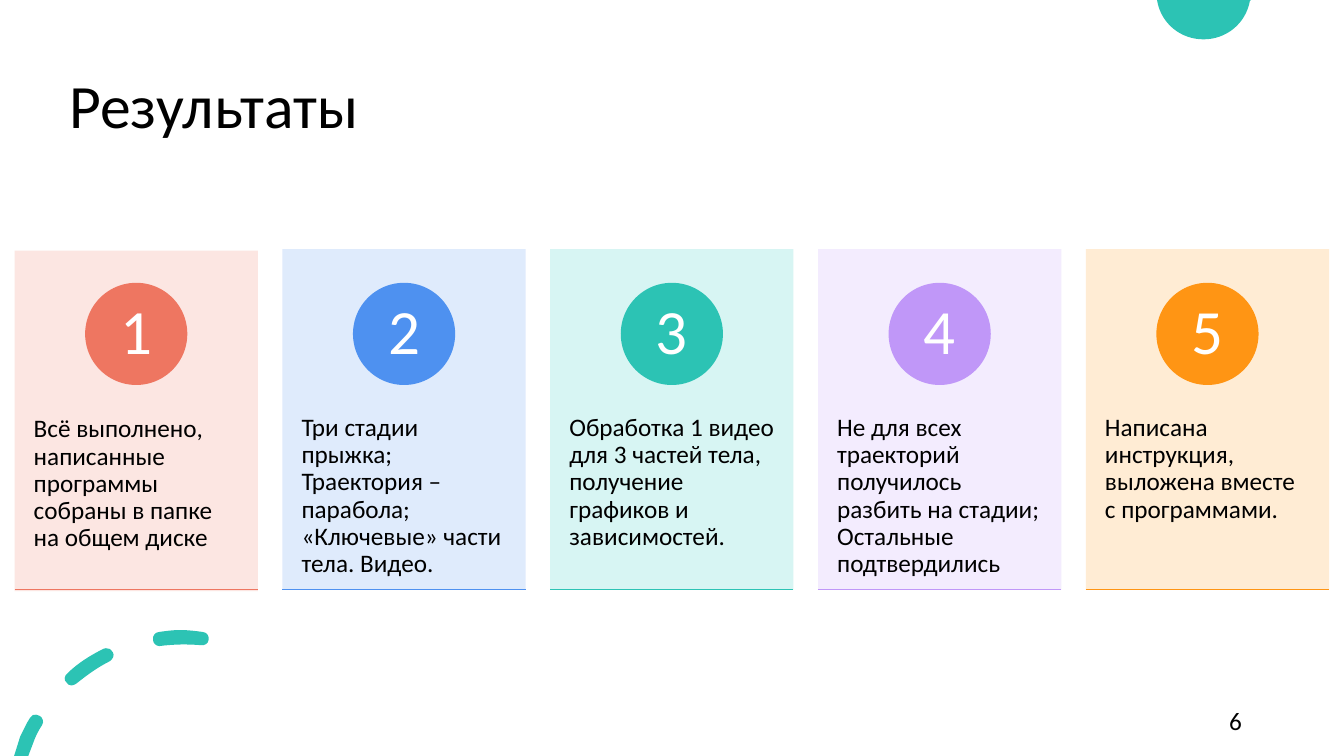
from dataclasses import dataclass
from typing import Any, NamedTuple

from lxml import etree
from pptx import Presentation
from pptx.dml.color import RGBColor
from pptx.enum.shapes import MSO_CONNECTOR, MSO_SHAPE
from pptx.enum.text import MSO_ANCHOR, PP_ALIGN
from pptx.oxml.ns import qn
from pptx.util import Pt

RECT, OVAL = MSO_SHAPE.RECTANGLE, MSO_SHAPE.OVAL
STRAIGHT = MSO_CONNECTOR.STRAIGHT
TOP, MIDDLE = MSO_ANCHOR.TOP, MSO_ANCHOR.MIDDLE
LEFT, CENTER, RIGHT = PP_ALIGN.LEFT, PP_ALIGN.CENTER, PP_ALIGN.RIGHT


@dataclass(frozen=True)
class Theme:
    font: str = "Calibri"
    ink: str = "000000"
    white: str = "FFFFFF"
    teal: str = "2CC3B4"
    title_size: float = 44
    number_size: float = 45
    body_size: float = 18


class Box(NamedTuple):
    x: float
    y: float
    w: float
    h: float


class Card(NamedTuple):
    text: str
    accent: str
    tint: str
    drop: float = 0  # downward shift of panel and text


THEME = Theme()

CARDS = [
    Card("Всё выполнено, написанные программы собраны в папке на общем диске",
         "EE7661", "FCE4DF", 1),
    Card("Три стадии прыжка; Траектория – парабола; «Ключевые» части тела. Видео.",
         "4E91F0", "DCE9FC"),
    Card("Обработка 1 видео для 3 частей тела, получение графиков и зависимостей.",
         THEME.teal, "D3F5F2"),
    Card("Не для всех траекторий получилось разбить на стадии; Остальные подтвердились",
         "C097F8", "F2EAFE"),
    Card("Написана инструкция, выложена вместе с программами.",
         "FF9514", "FFEAD0"),
]
CARD_X, CARD_Y, CARD_W, CARD_H, CARD_PITCH = 10.4, 178, 173.8, 243.2, 191.3
TEXT_Y, TEXT_H = 270.3, 146
DISC_Y, DISC_SIZE, NUMBER_SIZE = 202, 73, 52

# Outlines in points: a pair is a corner, six numbers are a Bezier curve
TOP_DISC = [[
    (826.6, 0), (893.5, 0), (892.8, 0.7),
    (889.9, 16.6, 876.2, 28.1, 859.7, 28.1),
    (843.1, 28.1, 829.4, 16.6, 826.6, 0.7),
]]
ARC_DASHES = [
    [(25.9, 510.5), (24.5, 509.8, 22.3, 511.2, 21.6, 512.6),
     (18.7, 517, 16.6, 522, 14.4, 526.3), (10.1, 540), (20.2, 540), (23.8, 530.6),
     (25.2, 526.3, 27.4, 522, 30.2, 517.7), (31.7, 515.5, 30.2, 511.9, 28.1, 511.2),
     (27.4, 510.5, 26.6, 510.5, 25.9, 510.5)],
    [(75.6, 463), (74.9, 463, 74.2, 463, 73.8, 463.5),
     (64.8, 468, 55.4, 473.8, 48.2, 481), (46.1, 482.4, 45.4, 486, 47.5, 487.4),
     (48.2, 488.9, 49.7, 489.6, 51.1, 489.6), (52.6, 489.6, 53.3, 488.9, 54.7, 488.2),
     (61.9, 482.4, 69.8, 476.6, 78.5, 472.3), (80.6, 470.9, 82.1, 468, 80.6, 465.8),
     (79.9, 463.7, 77.8, 463, 75.6, 463)],
    [(128.9, 450), (123.8, 450, 118.8, 450.7, 113.8, 451.4),
     (110.9, 451.4, 108.7, 454.3, 109.4, 457.2), (109.4, 459.4, 111.6, 461.5, 113.8, 461.5),
     (124.6, 460.1, 133.9, 460.1, 143.3, 460.8), (146.2, 461.5, 149, 459.4, 149, 457.2),
     (149.8, 454.3, 147.6, 451.4, 144.7, 451.4), (139.7, 450.7, 133.9, 450, 128.9, 450)],
]


def apply(target: Any, values: dict[str, Any]) -> None:
    for name, value in values.items():
        setattr(target, name, value)


def paint(s: Any, color: str) -> None:
    s.shadow.inherit = False
    s.fill.solid()
    s.fill.fore_color.rgb = RGBColor.from_string(color)
    s.line.fill.background()


def add_shape(slide: Any, kind: Any, box: Box, color: str, alpha: int = 100) -> None:
    s = slide.shapes.add_shape(kind, *map(Pt, box))
    paint(s, color)
    if alpha < 100:
        clr = s._element.spPr.find(qn("a:solidFill"))[0]
        etree.SubElement(clr, qn("a:alpha")).set("val", str(alpha * 1000))


def add_text(slide: Any, box: Box, text: str, size: float, color: str = THEME.ink,
             align: Any = LEFT, anchor: Any = MIDDLE, spacing: float = 0.9,
             inset: tuple[float, float] = (7.2, 3.6)) -> None:
    tf = slide.shapes.add_textbox(*map(Pt, box)).text_frame
    side, end = map(Pt, inset)
    apply(tf, {"word_wrap": True, "vertical_anchor": anchor, "margin_left": side,
               "margin_right": side, "margin_top": end, "margin_bottom": end})
    p = tf.paragraphs[0]
    apply(p, {"alignment": align, "line_spacing": spacing})
    r = p.add_run()
    r.text = text
    apply(r.font, {"name": THEME.font, "size": Pt(size)})
    r.font.color.rgb = RGBColor.from_string(color)


def part_points(part: tuple) -> list[tuple]:
    return [(Pt(x), Pt(y)) for x, y in zip(part[::2], part[1::2])]


def add_outlines(slide: Any, outlines: list[list[tuple]], color: str) -> None:
    builder = None
    for start, *parts in outlines:
        origin = part_points(start)[0]
        if builder is None:
            builder = slide.shapes.build_freeform(*origin)
        else:
            builder.move_to(*origin)
        builder.add_line_segments([pt for part in parts for pt in part_points(part)])
    s = builder.convert_to_shape()
    paint(s, color)
    # Merge each three control points into one curve
    lines = iter(list(s._element.iter(qn("a:lnTo"))))
    for _, *parts in outlines:
        for part in parts:
            line = next(lines)
            if len(part) == 6:
                curve = etree.Element(qn("a:cubicBezTo"))
                line.addprevious(curve)
                for piece in (line, next(lines), next(lines)):
                    curve.append(piece[0])
                    piece.getparent().remove(piece)


def add_rule(slide: Any, x: float, y: float, width: float, color: str) -> None:
    s = slide.shapes.add_connector(STRAIGHT, Pt(x), Pt(y), Pt(x + width), Pt(y))
    s.line.width = Pt(1)
    s.line.color.rgb = RGBColor.from_string(color)
    etree.SubElement(s._element.spPr, qn("a:effectLst"))


def add_card(slide: Any, index: int, card: Card) -> None:
    x = CARD_X + index * CARD_PITCH
    add_shape(slide, RECT, Box(x, CARD_Y + card.drop, CARD_W, CARD_H), card.tint, 90)
    add_text(slide, Box(x, TEXT_Y + card.drop, CARD_W, TEXT_H), card.text,
             THEME.body_size, anchor=TOP, inset=(13.7, 25.9))
    # Numbered disc, centred on the card
    disc_x = x + (CARD_W - DISC_SIZE) / 2
    add_shape(slide, OVAL, Box(disc_x, DISC_Y, DISC_SIZE, DISC_SIZE), card.accent)
    pad = (DISC_SIZE - NUMBER_SIZE) / 2
    add_text(slide, Box(disc_x + pad, DISC_Y + pad, NUMBER_SIZE, NUMBER_SIZE),
             str(index + 1), THEME.number_size, THEME.white, CENTER, inset=(5.8, 0.7))
    add_rule(slide, x, CARD_Y + CARD_H, CARD_W, card.accent)


def main() -> None:
    prs = Presentation()
    prs.slide_width, prs.slide_height = Pt(960), Pt(540)
    slide = prs.slides.add_slide(prs.slide_layouts[6])

    # Decoration
    for outlines in (TOP_DISC, ARC_DASHES):
        add_outlines(slide, outlines, THEME.teal)

    # Title, cards and page number
    add_text(slide, Box(42.5, 25.2, 828, 104.4), "Результаты", THEME.title_size)
    for index, card in enumerate(CARDS):
        add_card(slide, index, card)
    add_text(slide, Box(678.2, 500.4, 216, 28.8), "6", THEME.body_size,
             align=RIGHT, spacing=1.0)

    prs.save("out.pptx")


if __name__ == "__main__":
    main()
